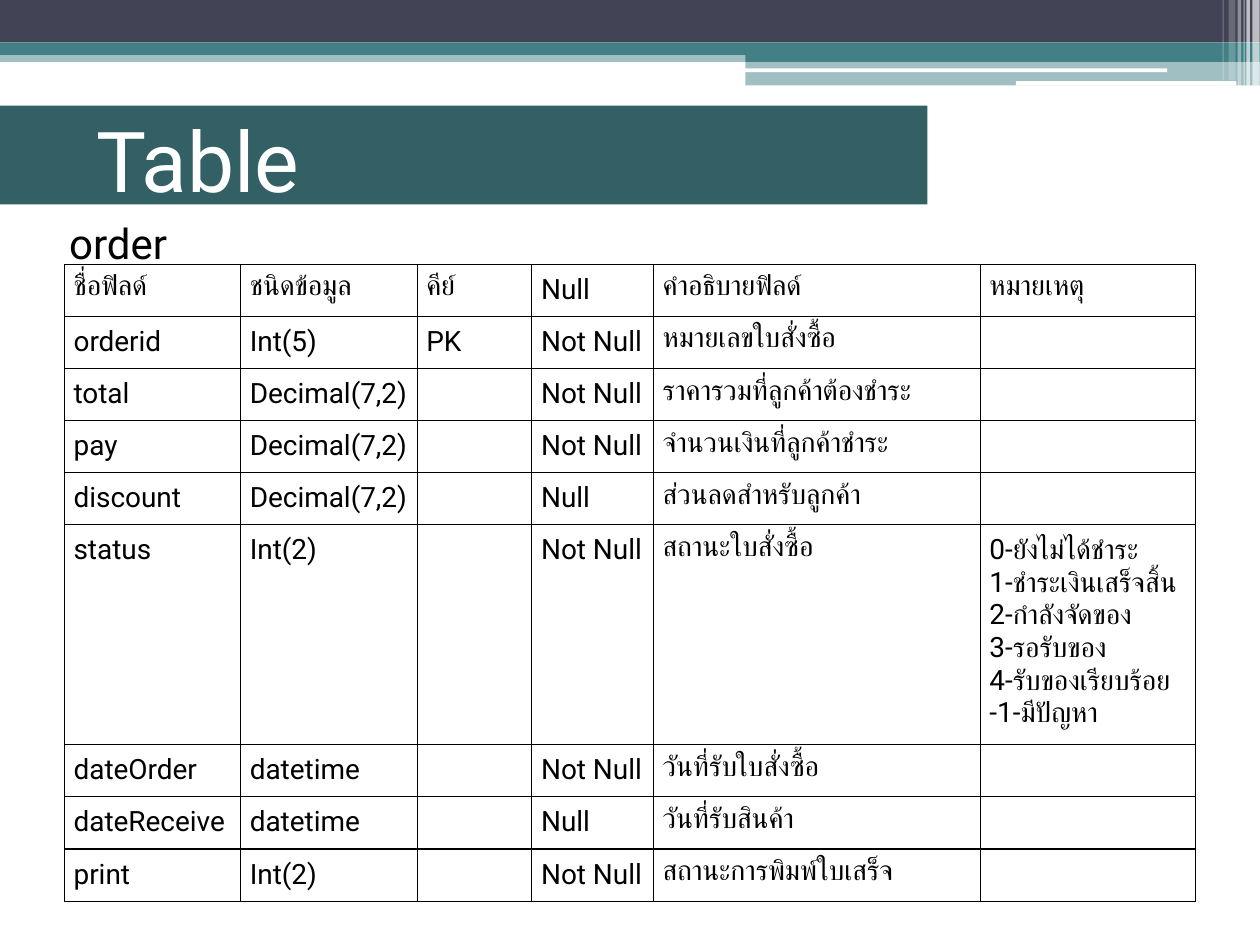
from dataclasses import dataclass

from lxml.etree import SubElement, fromstring
from pptx import Presentation
from pptx.dml.color import RGBColor
from pptx.enum.shapes import MSO_SHAPE
from pptx.enum.text import MSO_ANCHOR
from pptx.oxml.ns import nsdecls, qn
from pptx.util import Pt


@dataclass(frozen=True)
class Theme:
    font: str = "Roboto"
    navy: str = "424456"
    teal: str = "438086"
    dark_teal: str = "326065"
    white: str = "FFFFFF"
    black: str = "000000"
    title: int = 48
    heading: int = 24
    cell: int = 16


theme = Theme()

prs = Presentation()
prs.slide_width, prs.slide_height = Pt(720), Pt(540)
s = prs.slides.add_slide(prs.slide_layouts[6])


def add_bar(x, y, w, h, color, opacity=100, kind=MSO_SHAPE.RECTANGLE):
    sp = s.shapes.add_shape(kind, Pt(x), Pt(y), Pt(w), Pt(h))
    sp.shadow.inherit = False
    sp.line.fill.background()
    sp.fill.solid()
    sp.fill.fore_color.rgb = RGBColor.from_string(color)
    if opacity < 100:
        clr = sp.fill._xPr.find(qn("a:solidFill"))[0]
        SubElement(clr, qn("a:alpha")).set("val", str(opacity * 1000))


def set_text(tf, text, size, color):
    tf.text = text
    for p in tf.paragraphs:
        for r in p.runs:
            r.font.name = theme.font
            r.font.size = Pt(size)
            r.font.bold = False
            r.font.color.rgb = RGBColor.from_string(color)


# Header bands
add_bar(0, 28.8, 720, 6.6, theme.teal, 50)
add_bar(0, 0, 720, 24.3, theme.navy)
add_bar(0, 24.3, 720, 7.1, theme.teal)
add_bar(426, 28.2, 294, 7.2, theme.teal)
add_bar(426, 34.9, 294, 14, theme.teal, 50)
for x, y, w, h in [(425.5, 39.1, 241.5, 2.2), (580.5, 46.4, 126, 2.6)]:
    add_bar(x, y, w, h, theme.white, kind=MSO_SHAPE.ROUNDED_RECTANGLE)

# Light vertical strips at the right edge
for x, w, h, opacity in [(715.7, 4.2, 49, 65), (712.2, 2, 49, 65),
                         (710.6, 0.7, 49, 60), (707.2, 2, 49, 40),
                         (702, 4, 46, 20), (698.6, 0.7, 46, 30)]:
    add_bar(x, 0, w, h, theme.white, opacity)

# Title band, title and table name
add_bar(0, 60.3, 530, 56.5, theme.dark_teal)
for text, x, y, w, h, size, color in [
        ("Table", 48, 64.8, 666, 52, theme.title, theme.white),
        ("order", 32.4, 120.6, 157.7, 36, theme.heading, theme.black)]:
    tf = s.shapes.add_textbox(Pt(x), Pt(y), Pt(w), Pt(h)).text_frame
    tf.word_wrap = True
    tf.vertical_anchor = MSO_ANCHOR.MIDDLE
    set_text(tf, text, size, color)

# Field table
statuses = "\n".join(["0-ยังไม่ได้ชำระ", "1-ชำระเงินเสร็จสิ้น", "2-กำลังจัดของ",
                      "3-รอรับของ", "4-รับของเรียบร้อย", "-1-มีปัญหา"])
fields = [
    ("ชื่อฟิลด์", "ชนิดข้อมูล", "คีย์", "Null", "คำอธิบายฟิลด์", "หมายเหตุ"),
    ("orderid", "Int(5)", "PK", "Not Null", "หมายเลขใบสั่งซื้อ", ""),
    ("total", "Decimal(7,2)", "", "Not Null", "ราคารวมที่ลูกค้าต้องชำระ", ""),
    ("pay", "Decimal(7,2)", "", "Not Null", "จำนวนเงินที่ลูกค้าชำระ", ""),
    ("discount", "Decimal(7,2)", "", "Null", "ส่วนลดสำหรับลูกค้า", ""),
    ("status", "Int(2)", "", "Not Null", "สถานะใบสั่งซื้อ", statuses),
    ("dateOrder", "datetime", "", "Not Null", "วันที่รับใบสั่งซื้อ", ""),
    ("dateReceive", "datetime", "", "Null", "วันที่รับสินค้า", ""),
    ("print", "Int(2)", "", "Not Null", "สถานะการพิมพ์ใบเสร็จ", ""),
]
col_widths = [100.7, 100.9, 65.6, 69.5, 186.7, 122.9]
row_heights = [125.6 if statuses in row else 29.7 for row in fields]
inset = Pt(5.3)

table = s.shapes.add_table(len(fields), len(col_widths), Pt(36.8), Pt(151.1),
                           Pt(sum(col_widths)), Pt(sum(row_heights))).table
table.first_row = table.horz_banding = False
for col, width in zip(table.columns, col_widths):
    col.width = Pt(width)
for row, height, texts in zip(table.rows, row_heights, fields):
    row.height = Pt(height)
    for cell, text in zip(row.cells, texts):
        cell.fill.background()
        if text:
            cell.margin_left = cell.margin_right = inset
            cell.margin_top = cell.margin_bottom = inset
            set_text(cell.text_frame, text, theme.cell, theme.black)
        # Cell borders come before the fill
        for i, side in enumerate(["lnL", "lnR", "lnT", "lnB"]):
            cell._tc.get_or_add_tcPr().insert(i, fromstring(
                f'<a:{side} {nsdecls("a")} w="{Pt(0.75)}"><a:solidFill>'
                f'<a:srgbClr val="{theme.black}"/></a:solidFill></a:{side}>'))

prs.save("out.pptx")
